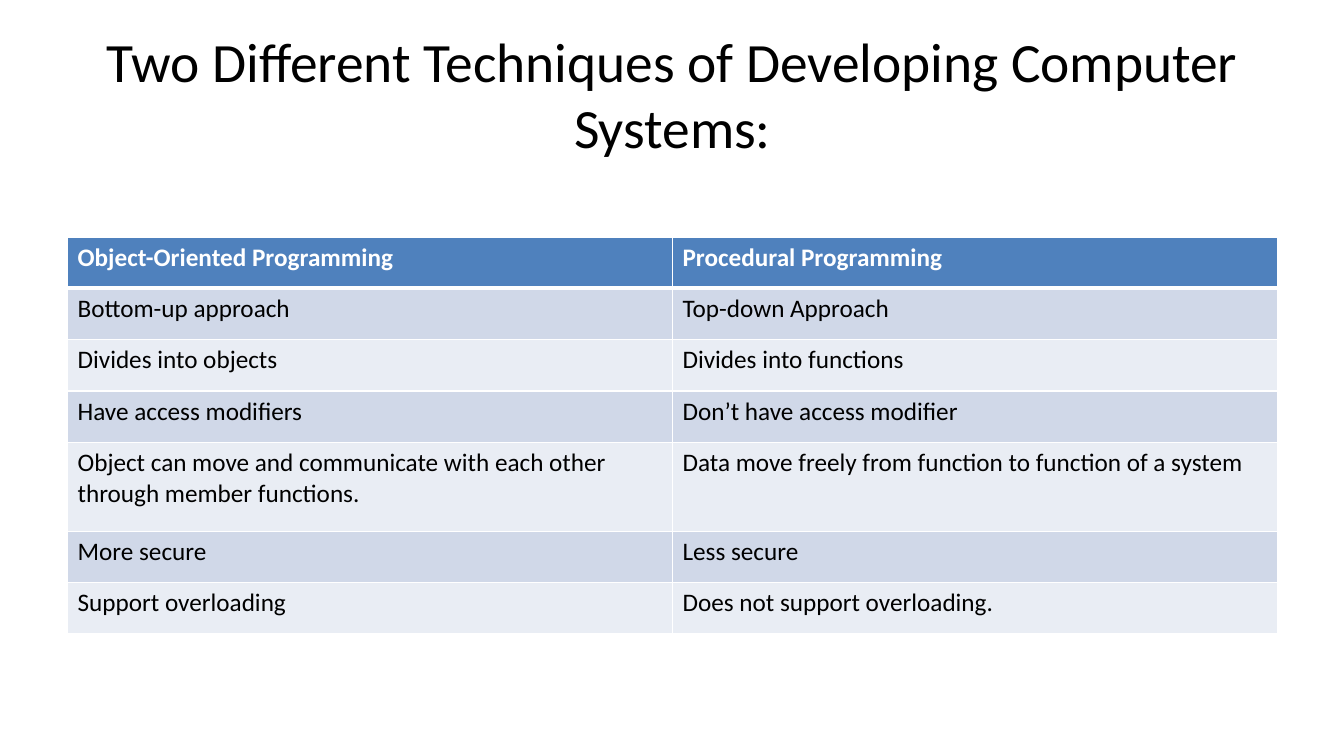
from dataclasses import dataclass

from lxml import etree
from pptx import Presentation
from pptx.dml.color import RGBColor
from pptx.enum import text
from pptx.oxml import ns
from pptx.util import Inches, Pt

FONT = "Calibri"
BLACK, WHITE = "000000", "FFFFFF"
HEADER_FILL = "4F81BD"
BAND_FILLS = ("D0D8E8", "E9EDF4")
LEFT, WIDTH = 0.67, 12


@dataclass
class Comparison:
    object_oriented: str
    procedural: str
    height: float = 0.51


COMPARISONS = [
    Comparison("Object-Oriented Programming", "Procedural Programming", 0.5),
    Comparison("Bottom-up approach", "Top-down Approach"),
    Comparison("Divides into objects", "Divides into functions"),
    Comparison("Have access modifiers", "Don’t have access modifier"),
    Comparison("Object can move and communicate with each other through member functions.",
               "Data move freely from function to function of a system", 0.88),
    Comparison("More secure", "Less secure"),
    Comparison("Support overloading", "Does not support overloading."),
]


def rgb(color: str) -> RGBColor:
    return RGBColor.from_string(color)


def add_run(paragraph, words: str, size: float, color: str, bold: bool = False) -> None:
    run = paragraph.add_run()
    run.text = words
    run.font.name = FONT
    run.font.size = Pt(size)
    run.font.bold = bold
    run.font.color.rgb = rgb(color)


def set_borders(cell, top: float, bottom: float) -> None:
    """Draw white cell borders; the lines must come before the fill."""
    properties = cell._tc.get_or_add_tcPr()
    widths = {"lnL": 1, "lnR": 1, "lnT": top, "lnB": bottom}
    for position, (edge, points) in enumerate(widths.items()):
        line = etree.Element(ns.qn(f"a:{edge}"), w=str(Pt(points)))
        fill = etree.SubElement(line, ns.qn("a:solidFill"))
        etree.SubElement(fill, ns.qn("a:srgbClr"), val=WHITE)
        properties.insert(position, line)


def add_title(slide, words: str) -> None:
    title = slide.shapes.title
    title.left, title.top = Inches(LEFT), Inches(0.3)
    title.width, title.height = Inches(WIDTH), Inches(1.25)
    frame = title.text_frame
    frame.word_wrap = True
    frame.auto_size = text.MSO_AUTO_SIZE.NONE
    frame.vertical_anchor = text.MSO_ANCHOR.MIDDLE
    paragraph = frame.paragraphs[0]
    paragraph.alignment = text.PP_ALIGN.CENTER
    add_run(paragraph, words, 39.6, BLACK)


def add_comparison_table(slide, comparisons: list[Comparison]) -> None:
    height = sum(comparison.height for comparison in comparisons)
    table = slide.shapes.add_table(len(comparisons), 2, Inches(LEFT), Inches(2.36),
                                   Inches(WIDTH), Inches(height)).table
    for column in table.columns:
        column.width = Inches(WIDTH / 2)
    for row, comparison in enumerate(comparisons):
        table.rows[row].height = Inches(comparison.height)
        header = row == 0
        fill = HEADER_FILL if header else BAND_FILLS[(row - 1) % 2]
        for column, words in enumerate((comparison.object_oriented, comparison.procedural)):
            cell = table.cell(row, column)
            cell.fill.solid()
            cell.fill.fore_color.rgb = rgb(fill)
            set_borders(cell, top=3 if row == 1 else 1, bottom=3 if header else 1)
            add_run(cell.text_frame.paragraphs[0], words, 18,
                    WHITE if header else BLACK, bold=header)


def main() -> None:
    presentation = Presentation()
    presentation.slide_width, presentation.slide_height = Inches(13.33), Inches(7.5)
    title_only = presentation.slide_layouts[5]
    slide = presentation.slides.add_slide(title_only)

    # Heading
    add_title(slide, "Two Different Techniques of Developing Computer Systems:")

    # Side-by-side comparison
    add_comparison_table(slide, COMPARISONS)

    presentation.save("out.pptx")


if __name__ == "__main__":
    main()
